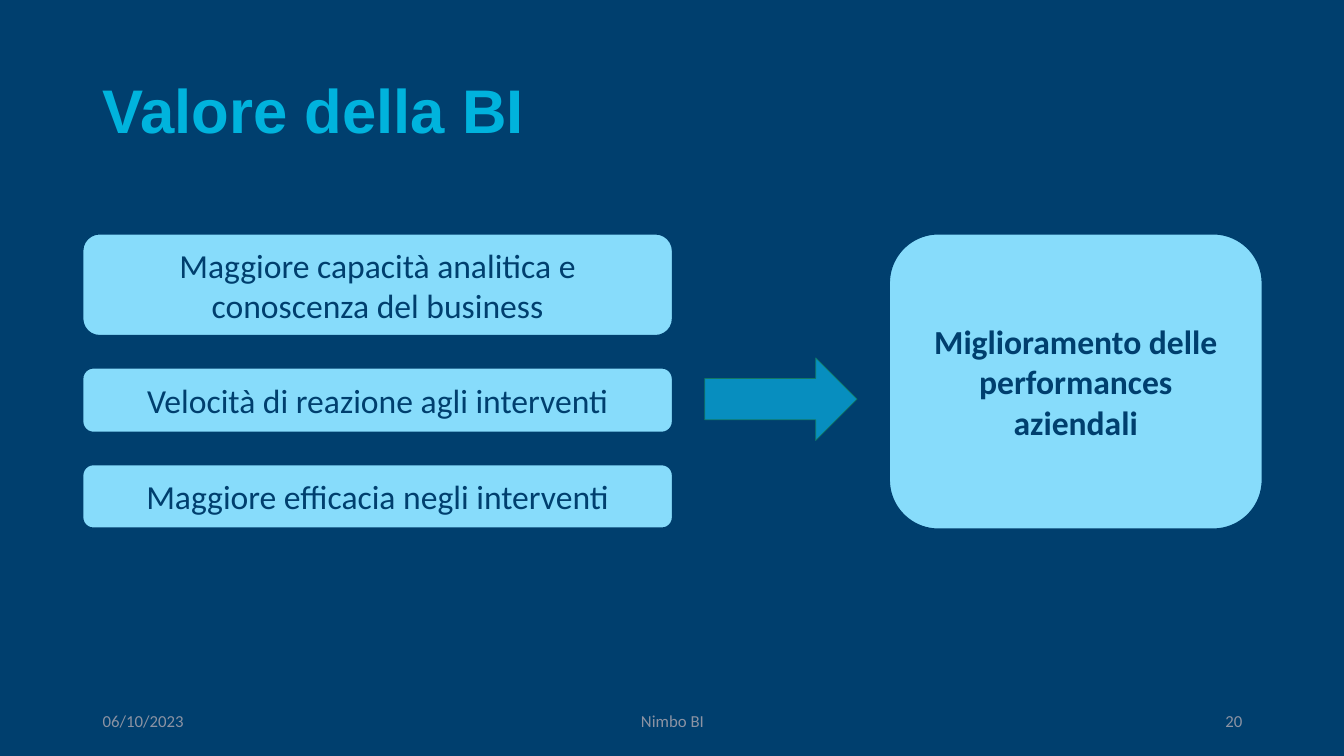
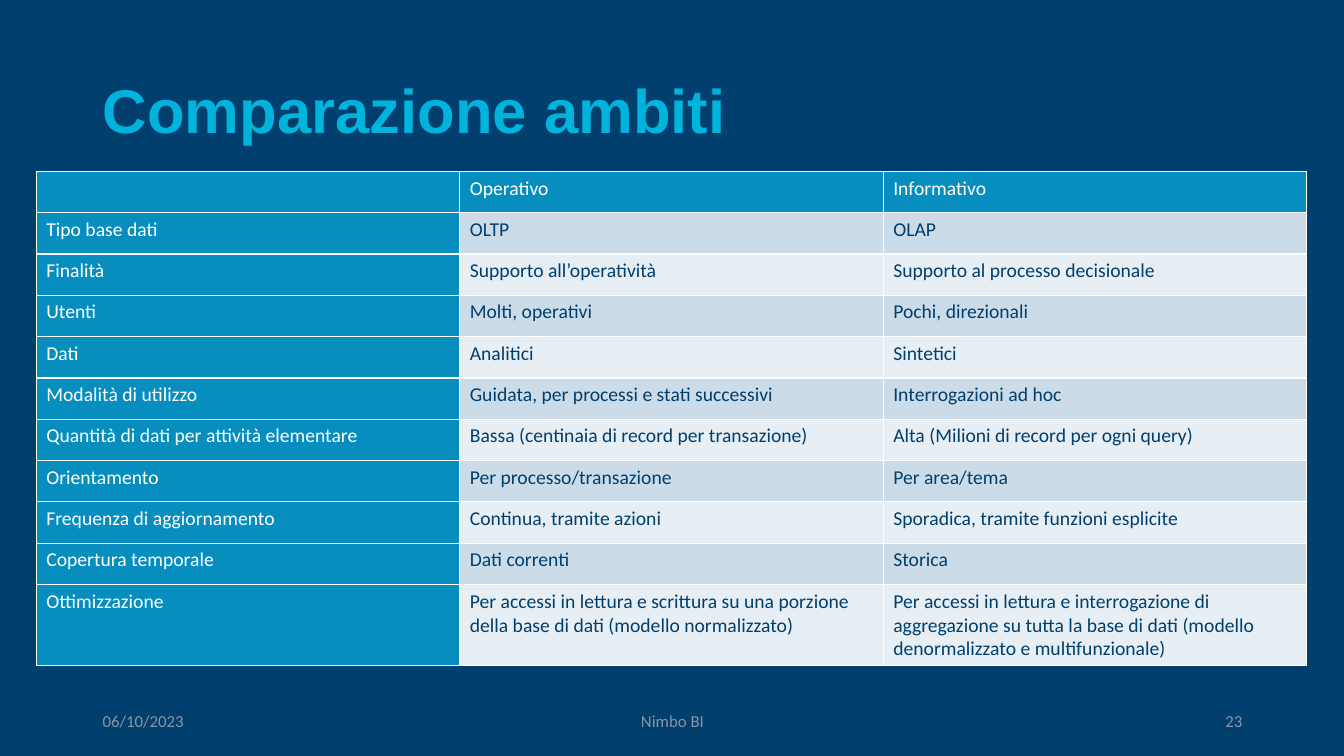
import pptx
import pptx.dml.color
import pptx.enum.shapes
import pptx.enum.text
import pptx.oxml
import pptx.util

Inches = pptx.util.Inches
Pt = pptx.util.Pt
Align = pptx.enum.text.PP_ALIGN
Anchor = pptx.enum.text.MSO_ANCHOR
Preset = pptx.enum.shapes.MSO_SHAPE

NAVY, CYAN, SKY, BLUE = "003F6E", "00B3DD", "87DCFB", "078EBF"
TEAL, GREY, WHITE = "117865", "8C93A3", "FFFFFF"
BANDS = ("CCDBE8", "E7EEF4")
NAMESPACE = "http://schemas.openxmlformats.org/drawingml/2006/main"

BENEFITS = (
    ("Maggiore capacità analitica e conoscenza del business", 1.01),
    ("Velocità di reazione agli interventi", 0.64),
    ("Maggiore efficacia negli interventi", 0.63),
)
COMPARISON = (
    ("", "Operativo", "Informativo"),
    ("Tipo base dati", "OLTP", "OLAP"),
    ("Finalità", "Supporto all’operatività", "Supporto al processo decisionale"),
    ("Utenti", "Molti, operativi", "Pochi, direzionali"),
    ("Dati", "Analitici", "Sintetici"),
    ("Modalità di utilizzo", "Guidata, per processi e stati successivi",
     "Interrogazioni ad hoc"),
    ("Quantità di dati per attività elementare",
     "Bassa (centinaia di record per transazione)",
     "Alta (Milioni di record per ogni query)"),
    ("Orientamento", "Per processo/transazione", "Per area/tema"),
    ("Frequenza di aggiornamento", "Continua, tramite azioni",
     "Sporadica, tramite funzioni esplicite"),
    ("Copertura temporale", "Dati correnti", "Storica"),
    ("Ottimizzazione",
     "Per accessi in lettura e scrittura su una porzione della base di dati "
     "(modello normalizzato)",
     "Per accessi in lettura e interrogazione di aggregazione su tutta la base "
     "di dati (modello denormalizzato e multifunzionale)"),
)


def paint(target, color):
    """Give a fill or a line format a solid colour."""
    if hasattr(target, "solid"):
        target.solid()
        target.fore_color.rgb = pptx.dml.color.RGBColor.from_string(color)
    else:
        paint(target.fill, color)


def write(frame, text, size=14, color=NAVY, font="Calibri", bold=False,
          align=Align.LEFT, anchor=Anchor.MIDDLE, spacing=1.0):
    """Put one formatted paragraph into a text frame."""
    frame.word_wrap = True
    frame.vertical_anchor = anchor
    paragraph = frame.paragraphs[0]
    paragraph.alignment = align
    paragraph.line_spacing = spacing
    run = paragraph.add_run()
    run.text = text
    run.font.size, run.font.name, run.font.bold = Pt(size), font, bold
    paint(run.font.fill, color)


def add_titled_slide(deck, title, number):
    """Add a slide with its title and footer."""
    slide = deck.slides.add_slide(deck.slide_layouts[5])
    heading = slide.shapes.title
    heading.left, heading.top = Inches(0.92), Inches(0.4)
    heading.width, heading.height = Inches(10.22), Inches(1.45)
    write(heading.text_frame, title, size=44, color=CYAN, font="Arial",
          bold=True, spacing=0.9)
    for text, left, width, align in (
        ("06/10/2023", 0.92, 3, Align.LEFT),
        ("Nimbo BI", 4.42, 4.5, Align.CENTER),
        (number, 9.42, 3, Align.RIGHT),
    ):
        footer = slide.shapes.add_textbox(
            Inches(left), Inches(6.95), Inches(width), Inches(0.4))
        write(footer.text_frame, text, size=12, color=GREY, align=align)
    return slide


def add_block(slide, preset, left, top, width, height, fill, line, weight):
    """Add a flat preset shape."""
    block = slide.shapes.add_shape(
        preset, Inches(left), Inches(top), Inches(width), Inches(height))
    block.shadow.inherit = False
    paint(block.fill, fill)
    paint(block.line, line)
    block.line.width = Pt(weight)
    return block


def add_card(slide, text, left, top, width, height, bold=False):
    """Add a rounded card with centred text."""
    card = add_block(slide, Preset.ROUNDED_RECTANGLE, left, top, width, height,
                     SKY, NAVY, 1)
    frame = card.text_frame
    frame.margin_left = frame.margin_right = Inches(0.15)
    write(frame, text, size=24, bold=bold, align=Align.CENTER)


def add_borders(cell, color=WHITE, weight=1):
    """Draw the four borders of a table cell."""
    properties = cell._tc.get_or_add_tcPr()
    for side in "LRTB":
        properties.append(pptx.oxml.parse_xml(
            f'<a:ln{side} xmlns:a="{NAMESPACE}" w="{Pt(weight)}"><a:solidFill>'
            f'<a:srgbClr val="{color}"/></a:solidFill></a:ln{side}>'))


def add_comparison(slide, rows, left, top, column_width, row_height):
    """Add a table with coloured headings and banded rows."""
    columns = len(rows[0])
    table = slide.shapes.add_table(
        len(rows), columns, Inches(left), Inches(top),
        Inches(column_width * columns), Inches(row_height * len(rows))).table
    for column in table.columns:
        column.width = Inches(column_width)
    for r, texts in enumerate(rows):
        table.rows[r].height = Inches(row_height)
        for c, text in enumerate(texts):
            cell = table.cell(r, c)
            heading = r == 0 or c == 0
            add_borders(cell)
            paint(cell.fill, BLUE if heading else BANDS[(r - 1) % 2])
            cell.vertical_anchor = Anchor.TOP
            write(cell.text_frame, text, color=WHITE if heading else NAVY,
                  anchor=None)


def build_value(deck):
    """Build the slide on the value of BI."""
    slide = add_titled_slide(deck, "Valore della BI", "20")
    top, gap = 2.32, 0.32
    for text, height in BENEFITS:
        add_card(slide, text, 0.82, top, 5.85, height)
        top += height + gap
    add_block(slide, Preset.RIGHT_ARROW, 6.99, 3.55, 1.51, 0.82, BLUE, TEAL, 0.5)
    add_card(slide, "Miglioramento delle performances aziendali",
             8.82, 2.32, 3.7, 2.93, bold=True)


def build_comparison(deck):
    """Build the slide that compares the two fields."""
    slide = add_titled_slide(deck, "Comparazione ambiti", "23")
    add_comparison(slide, COMPARISON, 0.36, 1.7, 4.2, 0.41)


def main():
    """Build and save the presentation."""
    deck = pptx.Presentation()
    deck.slide_width, deck.slide_height = Inches(13.33), Inches(7.5)
    paint(deck.slide_master.background.fill, NAVY)
    build_value(deck)
    build_comparison(deck)
    deck.save("out.pptx")


if __name__ == "__main__":
    main()
